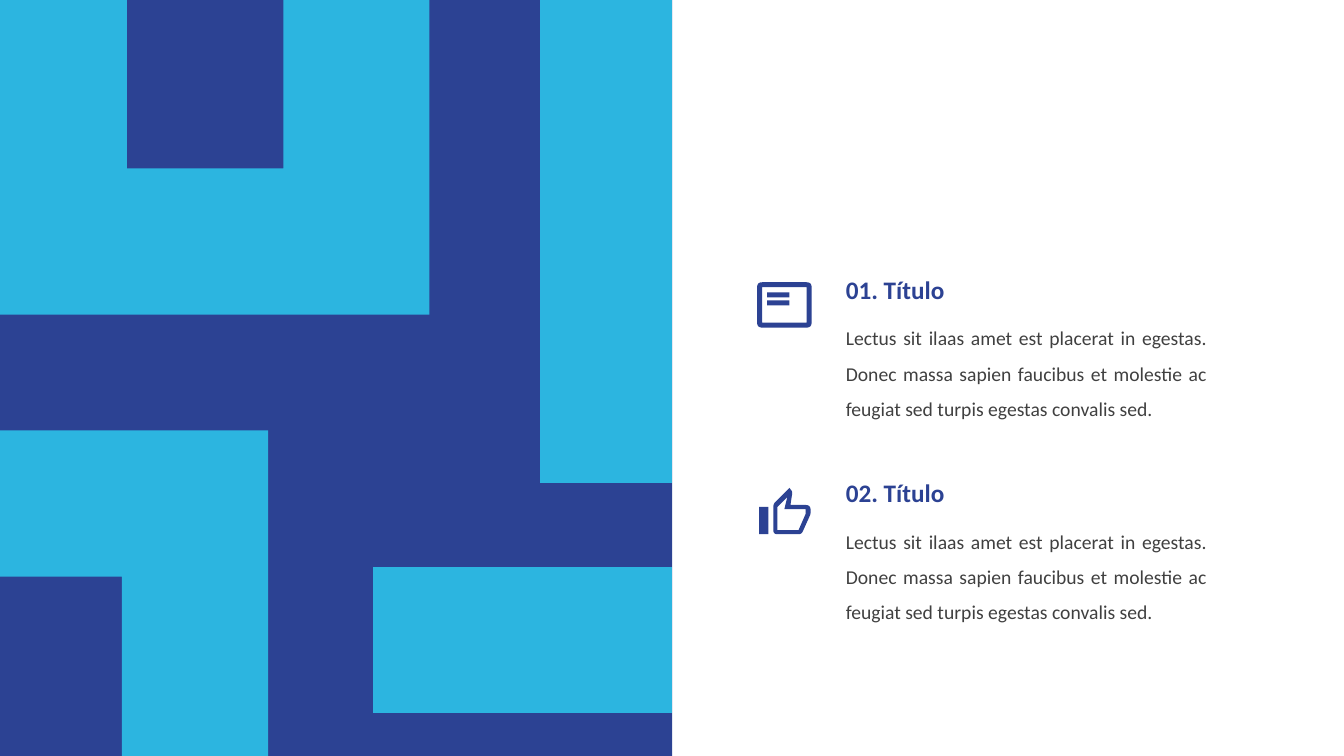
from dataclasses import dataclass
from math import hypot

from pptx import Presentation
from pptx.dml.color import RGBColor
from pptx.enum.shapes import MSO_SHAPE
from pptx.enum.text import MSO_AUTO_SIZE as AutoSize, PP_ALIGN as Align
from pptx.util import Inches, Pt


@dataclass(frozen=True)
class Theme:
    navy: str = "2C4293"
    sky: str = "2CB5E0"
    white: str = "FFFFFF"
    grey: str = "404040"
    font: str = "Calibri"
    heading_size: int = 18
    body_size: int = 14


THEME = Theme()
SLIDE_W, SLIDE_H = 13.33, 7.5
HALF_W = 6.67
ITEM_PITCH = 2.02
BODY = ("Lectus sit ilaas amet est placerat in egestas. Donec massa sapien "
        "faucibus et molestie ac feugiat sed turpis egestas convalis sed.")


def rect(left, top, right, bottom, radius=0):
    return [(left, top, radius), (right, top, radius),
            (right, bottom, radius), (left, bottom, radius)]


# Maze bands, measured from the corner of the pattern panel
MAZE = [
    rect(5.36, 0, HALF_W, 4.79),
    [(0, 4.27), (2.66, 4.27), (2.66, SLIDE_H), (1.21, SLIDE_H), (1.21, 5.72), (0, 5.72)],
    [(0, 0), (1.26, 0), (1.26, 1.67), (2.81, 1.67), (2.81, 0), (4.26, 0), (4.26, 3.12), (0, 3.12)],
    rect(3.7, 5.62, HALF_W, 7.07),
]

# Icon contours, measured from the icon corner; a third value rounds the corner
CARD_ICON = [
    rect(0, 0, 0.54, 0.45, 0.05),
    rect(0.05, 0.05, 0.49, 0.4),
    rect(0.1, 0.1, 0.32, 0.15),
    rect(0.1, 0.18, 0.32, 0.23),
]
THUMB_ICON = [
    [(0.14, 0.46, 0.04), (0.42, 0.46, 0.03), (0.51, 0.26, 0.02), (0.51, 0.17, 0.05),
     (0.31, 0.17), (0.33, 0.04, 0.02), (0.3, 0), (0.14, 0.16, 0.03)],
    [(0.18, 0.19), (0.28, 0.09), (0.25, 0.21), (0.46, 0.21),
     (0.46, 0.26), (0.39, 0.42), (0.18, 0.42)],
    rect(0, 0.19, 0.09, 0.46),
]

# Heading, icon contours, icon offset inside the item
ITEMS = [
    ("01. Título", CARD_ICON, (0, 0.13)),
    ("02. Título", THUMB_ICON, (0.02, 0.15)),
]


def paint(shape, color):
    shape.shadow.inherit = False
    shape.fill.solid()
    shape.fill.fore_color.rgb = RGBColor.from_string(color)
    shape.line.fill.background()


def add_panel(slide, left, top, width, height, color):
    panel = slide.shapes.add_shape(
        MSO_SHAPE.RECTANGLE, Inches(left), Inches(top), Inches(width), Inches(height))
    paint(panel, color)


def round_corners(corners, steps=6):
    """Replace each rounded corner by points on a quadratic curve."""
    points = []
    for i, (x, y, *rest) in enumerate(corners):
        radius = rest[0] if rest else 0
        if not radius:
            points.append((x, y))
            continue
        ends = []
        for nx, ny, *_ in (corners[i - 1], corners[(i + 1) % len(corners)]):
            share = radius / hypot(nx - x, ny - y)
            ends.append((x + (nx - x) * share, y + (ny - y) * share))
        (ax, ay), (bx, by) = ends
        for step in range(steps + 1):
            t = step / steps
            a, c, b = (1 - t) ** 2, 2 * t * (1 - t), t ** 2
            points.append((a * ax + c * x + b * bx, a * ay + c * y + b * by))
    return points


def add_outline(slide, left, top, contours, color):
    builder = None
    for corners in contours:
        points = [(Inches(left + x), Inches(top + y)) for x, y in round_corners(corners)]
        if builder is None:
            builder = slide.shapes.build_freeform(*points[0])
        else:
            builder.move_to(*points[0])
        builder.add_line_segments(points[1:], close=True)
    paint(builder.convert_to_shape(), color)


def add_text(slide, text, left, top, width, height, *, size, color,
             bold=False, align=Align.LEFT, spacing=1.0, wrap=True):
    box = slide.shapes.add_textbox(Inches(left), Inches(top), Inches(width), Inches(height))
    frame = box.text_frame
    frame.word_wrap = wrap
    frame.auto_size = AutoSize.SHAPE_TO_FIT_TEXT
    paragraph = frame.paragraphs[0]
    paragraph.alignment = align
    paragraph.line_spacing = spacing
    run = paragraph.add_run()
    run.text = text
    run.font.name = THEME.font
    run.font.size = Pt(size)
    run.font.bold = bold
    run.font.color.rgb = RGBColor.from_string(color)


def add_maze(slide, left, top, width, height):
    add_panel(slide, left, top, width, height, THEME.navy)
    for band in MAZE:
        add_outline(slide, left, top, [band], THEME.sky)


def add_item(slide, left, top, heading, icon, icon_offset):
    text_left = left + 0.78
    add_text(slide, BODY, text_left, top + 0.4, 3.78, 1.12, size=THEME.body_size,
             color=THEME.grey, align=Align.JUSTIFY, spacing=1.5)
    add_text(slide, heading, text_left, top, 1.19, 0.4, size=THEME.heading_size,
             color=THEME.navy, bold=True, wrap=False)
    dx, dy = icon_offset
    add_outline(slide, left + dx, top + dy, icon, THEME.navy)


def add_item_list(slide, left, top, width, height):
    add_panel(slide, left, top, width, height, THEME.white)
    for row, item in enumerate(ITEMS):
        add_item(slide, left + 0.84, top + 2.67 + row * ITEM_PITCH, *item)


def main():
    prs = Presentation()
    prs.slide_width, prs.slide_height = Inches(SLIDE_W), Inches(SLIDE_H)
    slide = prs.slides.add_slide(prs.slide_layouts[6])
    # Left half: pattern; right half: numbered items
    add_maze(slide, 0, 0, HALF_W, SLIDE_H)
    add_item_list(slide, HALF_W, 0, SLIDE_W - HALF_W, SLIDE_H)
    prs.save("out.pptx")


if __name__ == "__main__":
    main()
